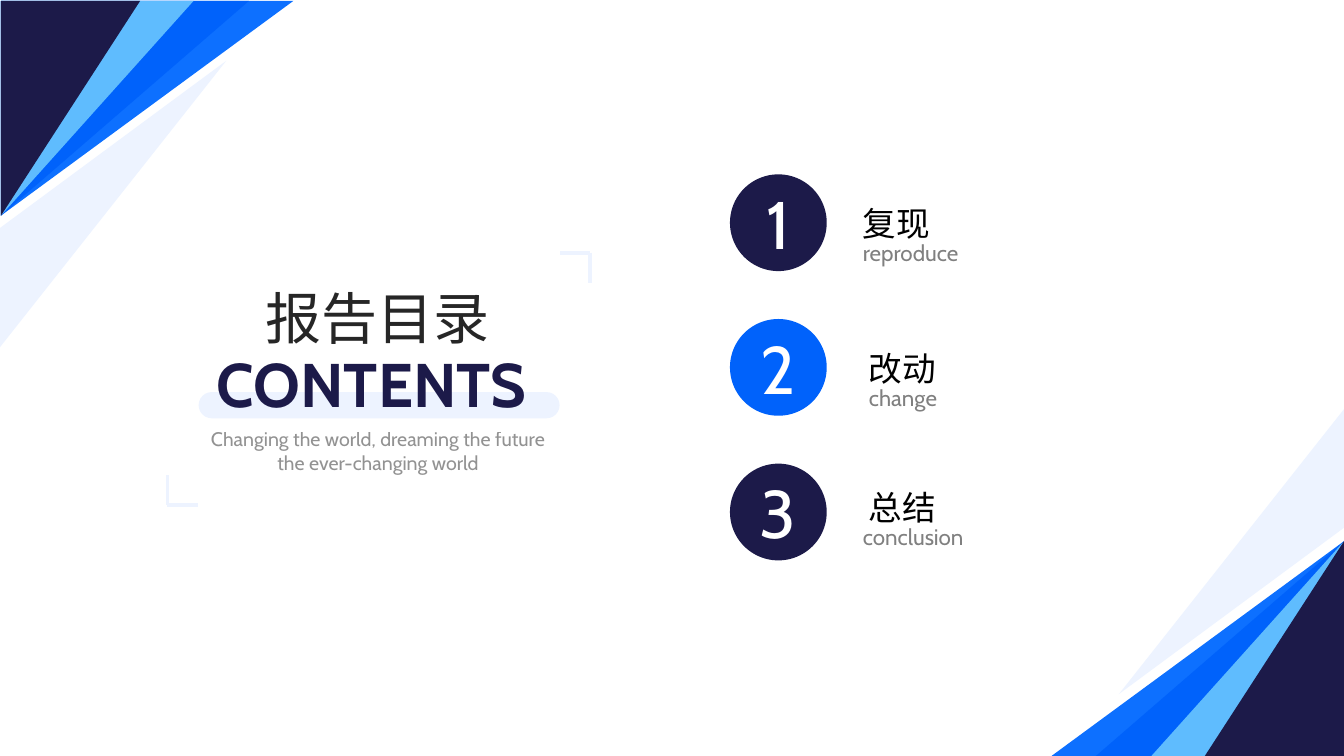
from pptx import Presentation
from pptx.dml.color import RGBColor
from pptx.enum.shapes import MSO_CONNECTOR, MSO_SHAPE
from pptx.enum.text import MSO_ANCHOR, MSO_AUTO_SIZE, PP_ALIGN
from pptx.oxml.ns import qn
from pptx.util import Inches, Pt
from lxml import etree

LINE = MSO_CONNECTOR.STRAIGHT
TRIANGLE, OVAL, PILL = (MSO_SHAPE.RIGHT_TRIANGLE, MSO_SHAPE.OVAL,
                        MSO_SHAPE.ROUNDED_RECTANGLE)
TOP, MIDDLE = MSO_ANCHOR.TOP, MSO_ANCHOR.MIDDLE
GROW = MSO_AUTO_SIZE.SHAPE_TO_FIT_TEXT
LEFT, CENTER = PP_ALIGN.LEFT, PP_ALIGN.CENTER

NAVY = RGBColor(0x1C, 0x1A, 0x49)
BLUE = RGBColor(0x00, 0x62, 0xFB)
BRIGHT = RGBColor(0x0D, 0x70, 0xFF)
SKY = RGBColor(0x5F, 0xBC, 0xFE)
PALE = RGBColor(0xED, 0xF3, 0xFF)
CHARCOAL = RGBColor(0x26, 0x26, 0x26)
GREY = RGBColor(0x80, 0x80, 0x80)
BLACK = RGBColor(0, 0, 0)
WHITE = RGBColor(0xFF, 0xFF, 0xFF)

FONT = "Cabin"
PAGE_WIDTH, PAGE_HEIGHT = 13.33, 7.5
FAN = ((2.9, BRIGHT), (2.46, BLUE), (1.91, SKY), (1.38, NAVY))
FAN_HEIGHT = 2.13

# number colour, Chinese label, English label, label left and top,
# English left; the last three relative to the circle
ITEMS = (
    (NAVY, "复现", "reproduce", 1.22, 0.23, 1.22),
    (BLUE, "改动", "change", 1.28, 0.24, 1.28),
    (NAVY, "总结", "conclusion", 1.28, 0.18, 1.22),
)


def add_filled(page, kind, left, top, width, height, color):
    shape = page.shapes.add_shape(kind, Inches(left), Inches(top),
                                  Inches(width), Inches(height))
    shape.shadow.inherit = False
    shape.fill.solid()
    shape.fill.fore_color.rgb = color
    shape.line.fill.background()
    return shape


def flip(shape, *directions):
    """Mirror a shape; directions are flipH and flipV."""
    frame = shape.element.spPr.find(qn("a:xfrm"))
    for direction in directions:
        frame.set(direction, "1")


def write(frame, lines, size, color, align=LEFT, bold=False):
    for index, line in enumerate(lines):
        para = frame.paragraphs[0] if index == 0 else frame.add_paragraph()
        para.alignment = align
        span = para.add_run()
        span.text = line
        span.font.name = FONT
        span.font.size = Pt(size)
        span.font.bold = bold
        span.font.color.rgb = color


def add_label(page, left, top, width, height, lines, size, color, **style):
    box = page.shapes.add_textbox(Inches(left), Inches(top),
                                  Inches(width), Inches(height))
    box.text_frame.word_wrap = False
    box.text_frame.auto_size = GROW
    write(box.text_frame, lines, size, color, **style)
    return box


def fade(box, percent):
    """Set the opacity of all text in a box."""
    for color in box.element.iter(qn("a:srgbClr")):
        etree.SubElement(color, qn("a:alpha")).set("val", str(percent * 1000))


def add_corner_fan(page, left, top, width, at_bottom_right):
    """Draw a pale sliver and four triangles that share the corner's edge."""
    sliver_left, sliver_top = (0.34, -0.23) if at_bottom_right else (-1.37, 1.27)
    sliver = add_filled(page, TRIANGLE, left + sliver_left, top + sliver_top,
                        3.93, 1.07, PALE)
    sliver.rotation = 128.3
    if not at_bottom_right:
        flip(sliver, "flipH", "flipV")
    for span_width, color in FAN:
        shift = width - span_width if at_bottom_right else 0
        triangle = add_filled(page, TRIANGLE, left + shift, top,
                              span_width, FAN_HEIGHT, color)
        flip(triangle, "flipH" if at_bottom_right else "flipV")


def add_bracket(page, x, y, arm_x, arm_y):
    """Draw two arms from the corner at x, y."""
    for end_x, end_y in ((x + arm_x, y), (x, y + arm_y)):
        arm = page.shapes.add_connector(LINE, Inches(x), Inches(y),
                                        Inches(end_x), Inches(end_y))
        arm.line.color.rgb = PALE
        arm.line.width = Pt(2.5)
        etree.SubElement(arm.element.spPr, qn("a:effectLst"))


def add_heading(page, left, top, width, height):
    title = page.shapes.title
    title.left, title.top = Inches(left + 0.87), Inches(top + 0.25)
    title.width, title.height = Inches(2.45), Inches(0.77)
    frame = title.text_frame
    frame.word_wrap = False
    frame.auto_size = GROW
    frame.vertical_anchor = TOP
    write(frame, ["报告目录"], 40, CHARCOAL)
    frame.paragraphs[0].line_spacing = 1.0

    bar = add_filled(page, PILL, left + 0.31, top + 1.38, 3.58, 0.26, PALE)
    bar.adjustments[0] = 0.5
    slogan = add_label(page, left + 0.22, top + 1.68, 3.74, 0.57,
                       ["Changing the world, dreaming the future",
                        "the ever-changing world"],
                       14, CHARCOAL, align=CENTER)
    fade(slogan, 50)
    add_label(page, left + 0.39, top + 0.87, 3.42, 0.84, ["CONTENTS"],
              44, NAVY, bold=True)
    add_bracket(page, left + width, top, -0.3, 0.3)
    add_bracket(page, left, top + height, 0.3, -0.3)


def add_agenda(page, left, top, pitch):
    diameter = 0.96
    for index, item in enumerate(ITEMS):
        color, chinese, english, label_left, label_top, english_left = item
        y = top + index * pitch
        circle = add_filled(page, OVAL, left, y, diameter, diameter, color)
        circle.text_frame.vertical_anchor = MIDDLE
        write(circle.text_frame, [str(index + 1)], 48, WHITE, align=CENTER)
        add_label(page, left + label_left, y + label_top, 0.88, 0.5,
                  [chinese], 24, BLACK)
        add_label(page, left + english_left, y + label_top + 0.36, 1.22, 0.37,
                  [english], 16, GREY)


def main():
    deck = Presentation()
    deck.slide_width, deck.slide_height = Inches(PAGE_WIDTH), Inches(PAGE_HEIGHT)
    page = deck.slides.add_slide(deck.slide_layouts[5])
    fan_width = FAN[0][0]
    add_corner_fan(page, PAGE_WIDTH - fan_width, PAGE_HEIGHT - FAN_HEIGHT,
                   fan_width, True)
    add_corner_fan(page, 0.01, 0.01, fan_width, False)
    add_agenda(page, 7.24, 1.73, 1.435)
    add_heading(page, 1.66, 2.51, 4.19, 2.5)
    deck.save("out.pptx")


if __name__ == "__main__":
    main()
